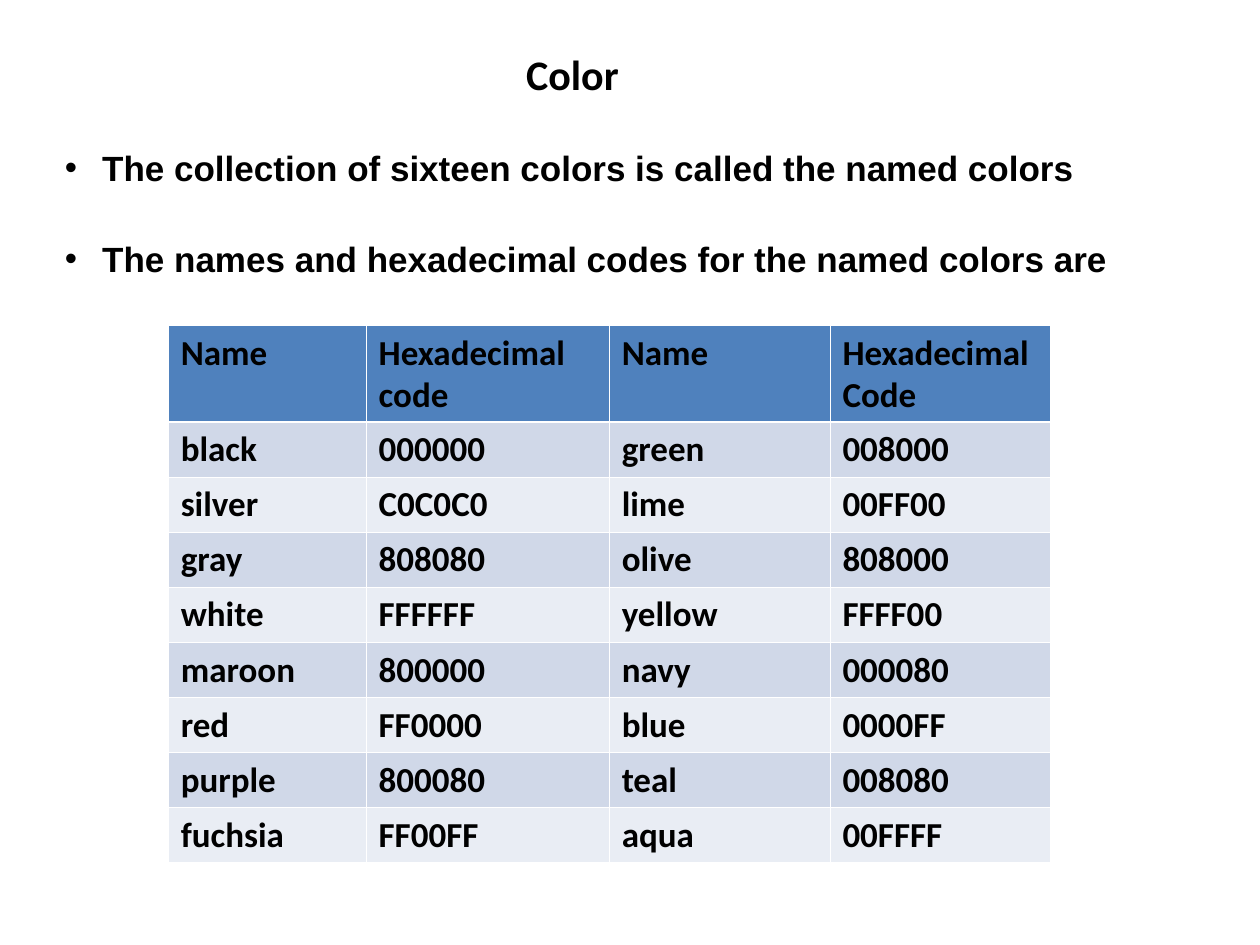
"""Build a slide listing the sixteen named colors and their hexadecimal codes."""
import pptx
import pptx.dml.color
import pptx.enum.text
import pptx.oxml.ns
import pptx.util
import lxml.etree

Cm, Pt = pptx.util.Cm, pptx.util.Pt
COLORS = {"text": "000000", "header": "4F81BD", "odd": "D0D8E8", "even": "E9EDF4", "border": "FFFFFF"}


def set_font(p, name, size):
    p.font.name = name
    p.font.size = Pt(size)
    p.font.bold = True
    p.font.color.rgb = pptx.dml.color.RGBColor.from_string(COLORS["text"])


def add_xml(parent, tag, **attrs):
    el = lxml.etree.SubElement(parent, pptx.oxml.ns.qn(tag))
    for key, value in attrs.items():
        el.set(key, str(value))
    return el


prs = pptx.Presentation()
prs.slide_width, prs.slide_height = Cm(25.4), Cm(19.05)
s = prs.slides.add_slide(prs.slide_layouts[6])

sp = s.shapes.add_textbox(Cm(0.85), Cm(0.85), Cm(21.38), Cm(1.27))
tf = sp.text_frame
tf.word_wrap = True
tf.auto_size = pptx.enum.text.MSO_AUTO_SIZE.SHAPE_TO_FIT_TEXT
p = tf.paragraphs[0]
p.text = "Color"
p.alignment = pptx.enum.text.PP_ALIGN.CENTER
set_font(p, "Calibri", 24)

bullets = [
    "The collection of sixteen colors is called the named colors",
    "The names and hexadecimal codes for the named colors are",
]
sp = s.shapes.add_textbox(Cm(1.06), Cm(2.75), Cm(24.34), Cm(3.02))
tf = sp.text_frame
tf.word_wrap = True
tf.auto_size = pptx.enum.text.MSO_AUTO_SIZE.SHAPE_TO_FIT_TEXT
for i, text in enumerate(bullets):
    p = tf.add_paragraph() if i else tf.paragraphs[0]
    p.text = text
    p.line_spacing = Pt(26)
    if i:
        p.space_before = Pt(26)
    pPr = p._p.get_or_add_pPr()
    pPr.set("marL", str(Cm(0.75)))
    pPr.set("indent", str(-Cm(0.75)))
    add_xml(pPr, "a:buFont", typeface="Arial")
    add_xml(pPr, "a:buChar", char="•")
    set_font(p, "Arial", 20)

rows = [
    ("Name", "Hexadecimal code", "Name", "Hexadecimal\nCode"),
    ("black", "000000", "green", "008000"),
    ("silver", "C0C0C0", "lime", "00FF00"),
    ("gray", "808080", "olive", "808000"),
    ("white", "FFFFFF", "yellow", "FFFF00"),
    ("maroon", "800000", "navy", "000080"),
    ("red", "FF0000", "blue", "0000FF"),
    ("purple", "800080", "teal", "008080"),
    ("fuchsia", "FF00FF", "aqua", "00FFFF"),
]
widths = [3.99, 4.9, 4.45, 4.45]
heights = [1.94] + [1.11] * (len(rows) - 1)
table = s.shapes.add_table(
    len(rows), len(widths), Cm(3.39), Cm(6.56), Cm(sum(widths)), Cm(sum(heights))
).table
for col, width in zip(table.columns, widths):
    col.width = Cm(width)
for i, (row, height) in enumerate(zip(rows, heights)):
    table.rows[i].height = Cm(height)
    fill = "header" if i == 0 else "odd" if i % 2 else "even"
    thick_side = {0: "a:lnB", 1: "a:lnT"}.get(i)
    for j, text in enumerate(row):
        cell = table.cell(i, j)
        cell.text = text
        for p in cell.text_frame.paragraphs:
            set_font(p, "Calibri", 20)
        tcPr = cell._tc.get_or_add_tcPr()
        for side in ("a:lnL", "a:lnR", "a:lnT", "a:lnB"):
            ln = add_xml(tcPr, side, w=Pt(1.47 if side == thick_side else 0.45))
            add_xml(add_xml(ln, "a:solidFill"), "a:srgbClr", val=COLORS["border"])
        cell.fill.solid()
        cell.fill.fore_color.rgb = pptx.dml.color.RGBColor.from_string(COLORS[fill])

prs.save("out.pptx")
